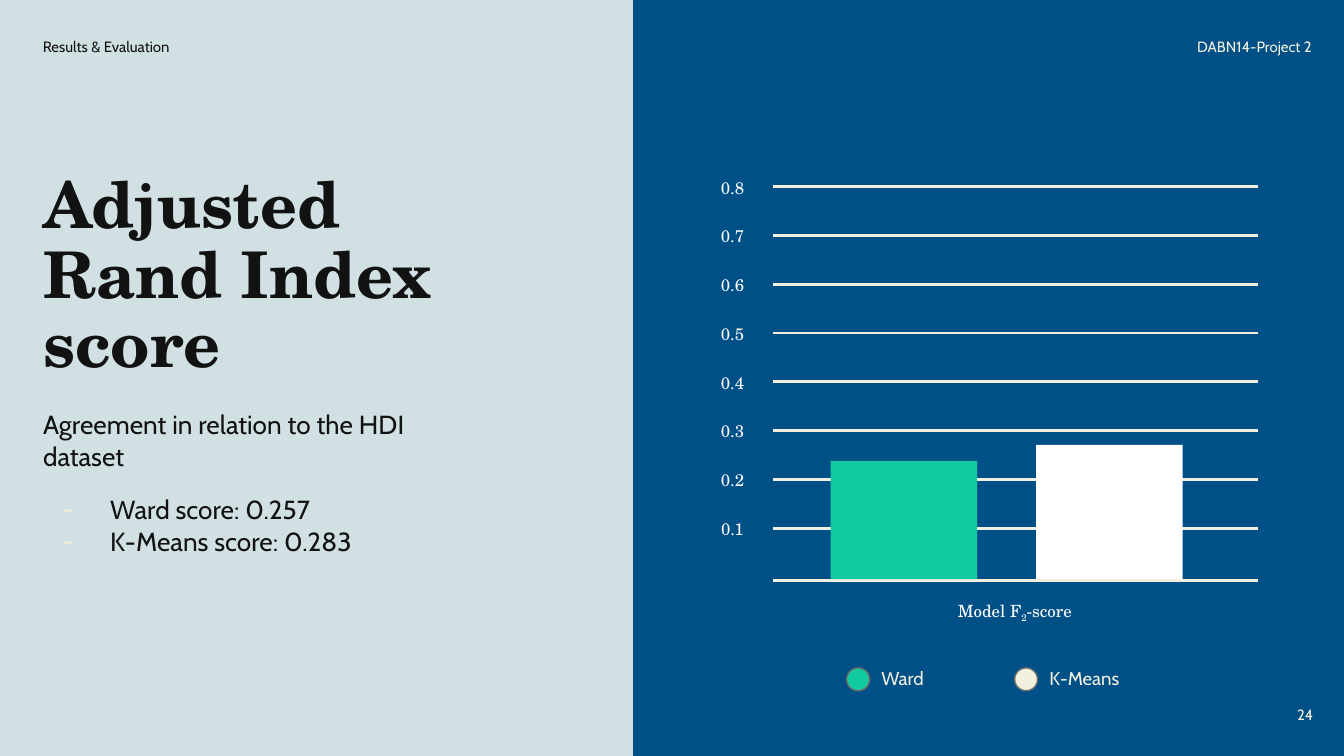
from lxml.etree import SubElement
from pptx import Presentation
from pptx.dml.color import RGBColor
from pptx.enum.shapes import MSO_CONNECTOR as Connector, MSO_SHAPE as Shape
from pptx.enum.text import MSO_ANCHOR as Anchor, MSO_AUTO_SIZE as AutoSize, PP_ALIGN as Align
from pptx.oxml.ns import qn
from pptx.util import Inches, Pt

# Content
TITLE = "Adjusted Rand Index score"
LEAD = "Agreement in relation to the HDI dataset"
SCORES = ["Ward score: 0.257", "K-Means score: 0.283"]
SECTION, PROJECT, PAGE_NUMBER = "Results & Evaluation", "DABN14-Project 2", "24"
TICKS = ["0.8", "0.7", "0.6", "0.5", "0.4", "0.3", "0.2", "0.1"]
AXIS_TITLE = [("Model F", 0), ("2", -25000), ("-score", 0)]
BARS = [("green", 0.88), ("white", 1.0)]  # colour, height
LEGEND = [("Ward", "green"), ("K-Means", "cream")]

THEME = {
    "serif": "TeX Gyre Schola", "sans": "Cabin",
    "pale": "D0E0E3", "blue": "005088", "ink": "121212", "cream": "F3F0DF",
    "white": "FFFFFF", "green": "11CAA0", "grey": "6D6D6B",
    "title": 34.5, "body": 14, "bullet": 11, "legend": 10, "chart": 9, "small": 8,
}

# Chart geometry
GRID_LEFT, GRID_RIGHT = 5.75, 9.36
GRID_TOP, GRID_BOTTOM, AXIS = 1.39, 3.93, 4.32
GRID_STEP = (GRID_BOTTOM - GRID_TOP) / (len(TICKS) - 1)
BAR_LEFT, BAR_STEP, BAR_WIDTH, BAR_BASE = 6.18, 1.53, 1.09, 4.31
LEGEND_LEFT, LEGEND_STEP, DOT = 6.3, 1.25, 0.17


def color(name):
    return RGBColor.from_string(THEME[name])


def add_span(para, text, size, face, ink, bold=False):
    span = para.add_run()
    span.text = text
    font = span.font
    font.name, font.size, font.bold = THEME[face], Pt(THEME[size]), bold
    font.color.rgb = color(ink)
    return span


def place(box, left, top, width, height, anchor=Anchor.MIDDLE):
    box.left, box.top, box.width, box.height = map(Inches, (left, top, width, height))
    frame = box.text_frame
    frame.word_wrap, frame.auto_size = True, AutoSize.NONE
    frame.vertical_anchor = anchor
    frame.margin_left = frame.margin_right = Inches(0.1)
    frame.margin_top = frame.margin_bottom = Inches(0.1)
    return frame


def add_label(page, text, at, size, face, ink, align=Align.LEFT, spacing=1.0):
    box = page.shapes.add_textbox(0, 0, 0, 0)
    para = place(box, *at).paragraphs[0]
    para.alignment, para.line_spacing = align, spacing
    add_span(para, text, size, face, ink)


def add_filled(page, kind, at, fill, line=None):
    shape = page.shapes.add_shape(kind, *map(Inches, at))
    shape.shadow.inherit = False
    shape.fill.solid()
    shape.fill.fore_color.rgb = color(fill)
    if line:
        shape.line.color.rgb, shape.line.width = color(line), Pt(0.75)
    else:
        shape.line.fill.background()
    return shape


def add_rule(page, y):
    rule = page.shapes.add_connector(
        Connector.STRAIGHT, Inches(GRID_LEFT), Inches(y), Inches(GRID_RIGHT), Inches(y))
    rule.line.color.rgb, rule.line.width = color("cream"), Pt(1.5)
    SubElement(rule._element.spPr, qn("a:effectLst"))


def set_bullet(para, mark=None):
    props = para._p.get_or_add_pPr()
    props.set("marL", str(Inches(0.5) if mark else 0))
    props.set("indent", str(Inches(-0.35) if mark else 0))
    if mark:
        tint = SubElement(props, qn("a:buClr"))
        SubElement(tint, qn("a:srgbClr"), val=THEME["cream"])
        SubElement(props, qn("a:buSzPts"), val=str(THEME["bullet"] * 100))
        SubElement(props, qn("a:buFont"), typeface=THEME["sans"])
        SubElement(props, qn("a:buChar"), char=mark)
    else:
        SubElement(props, qn("a:buNone"))


def add_title_and_body(page):
    title, body = page.placeholders[0], page.placeholders[1]
    para = place(title, 0.22, 1.15, 3.45, 1.79, Anchor.BOTTOM).paragraphs[0]
    para.alignment, para.line_spacing = Align.LEFT, 0.9
    add_span(para, TITLE, "title", "serif", "ink", bold=True)

    frame = place(body, 0.22, 2.94, 3.45, 1.99, Anchor.TOP)
    for index, text in enumerate([LEAD, *SCORES]):
        para = frame.add_paragraph() if index else frame.paragraphs[0]
        set_bullet(para, "-" if index else None)
        para.space_before = Pt(12 if index == 1 else 0)
        add_span(para, text, "body", "sans", "ink")


def add_bar_chart(page):
    # Grid lines, tick labels and base line
    for index, tick in enumerate(TICKS):
        y = GRID_TOP + index * GRID_STEP
        add_rule(page, y)
        add_label(page, tick, (5.15, y - 0.11, 0.6, 0.23), "chart", "serif", "white", Align.CENTER)
    add_rule(page, AXIS)

    # Bars
    for index, (fill, height) in enumerate(BARS):
        left = BAR_LEFT + index * BAR_STEP
        add_filled(page, Shape.RECTANGLE, (left, BAR_BASE - height, BAR_WIDTH, height), fill)

    # Axis title with its subscript
    box = page.shapes.add_textbox(0, 0, 0, 0)
    para = place(box, 6.94, AXIS, 1.22, 0.33, Anchor.TOP).paragraphs[0]
    para.alignment, para.line_spacing = Align.CENTER, 1.3
    for text, baseline in AXIS_TITLE:
        span = add_span(para, text, "chart", "serif", "white")
        if baseline:
            span._r.get_or_add_rPr().set("baseline", str(baseline))

    # Legend
    for index, (name, fill) in enumerate(LEGEND):
        left = LEGEND_LEFT + index * LEGEND_STEP
        add_label(page, name, (left + 0.16, 4.93, 1.09, 0.25), "legend", "sans", "cream", spacing=0.9)
        add_filled(page, Shape.OVAL, (left, 4.97, DOT, DOT), fill, "grey")


def main():
    # Widescreen page, 16:9
    deck = Presentation()
    deck.slide_width = Inches(10)
    deck.slide_height = deck.slide_width * 9 // 16
    page = deck.slides.add_slide(deck.slide_layouts[1])
    page.background.fill.solid()
    page.background.fill.fore_color.rgb = color("pale")

    # Right-hand panel, full height
    panel = add_filled(page, Shape.RECTANGLE, (4.71, 0, 5.29, 5.62), "blue")
    panel.height = deck.slide_height
    add_title_and_body(page)
    add_bar_chart(page)

    # Header and page number
    add_label(page, SECTION, (0.22, 0.22, 2.03, 0.23), "small", "sans", "ink", spacing=1.15)
    add_label(page, PROJECT, (7.75, 0.22, 2.11, 0.23), "small", "sans", "cream", Align.RIGHT, 1.15)
    add_label(page, PAGE_NUMBER, (9.27, 5.1, 0.6, 0.43), "small", "sans", "cream", Align.RIGHT)
    deck.save("out.pptx")


if __name__ == "__main__":
    main()
